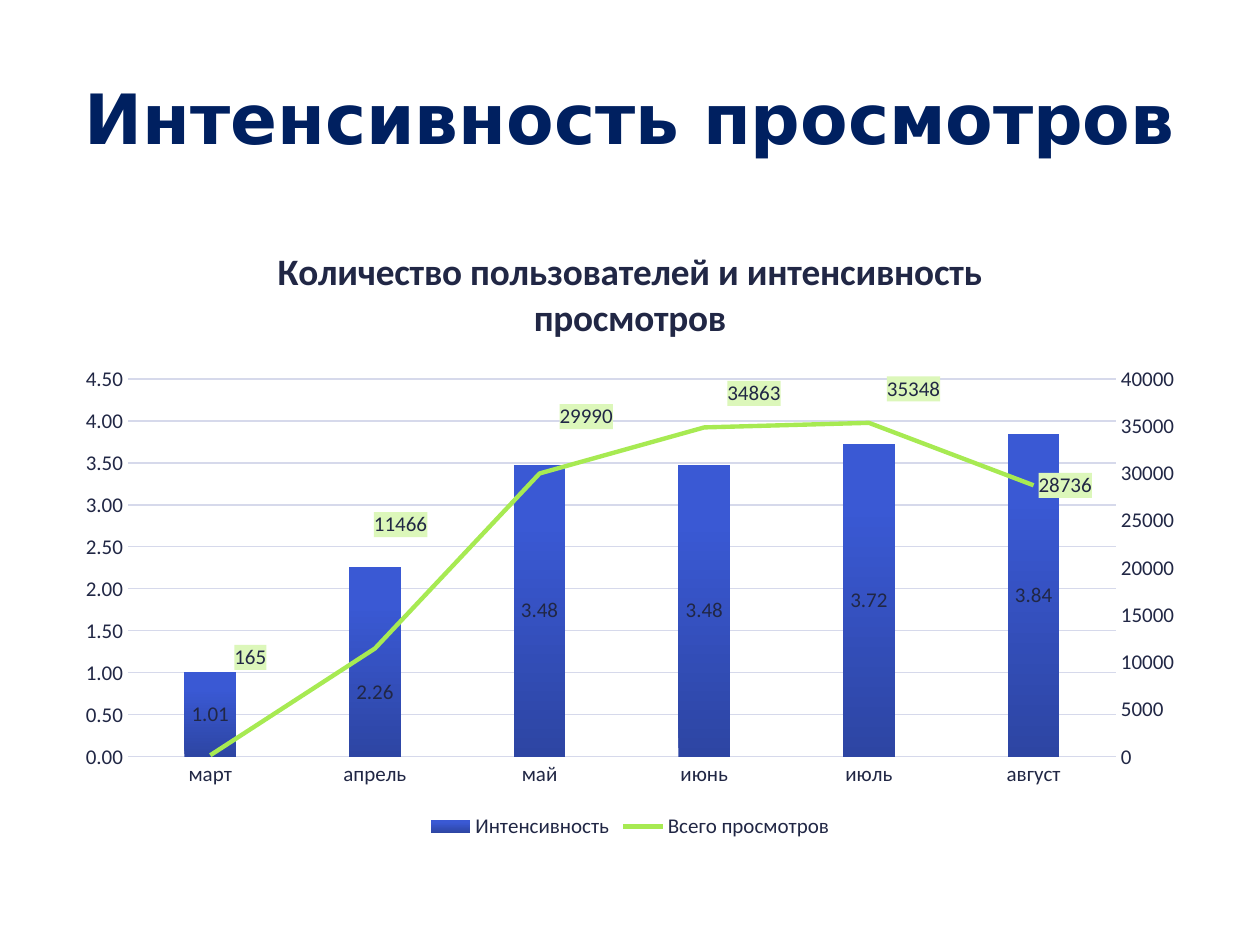
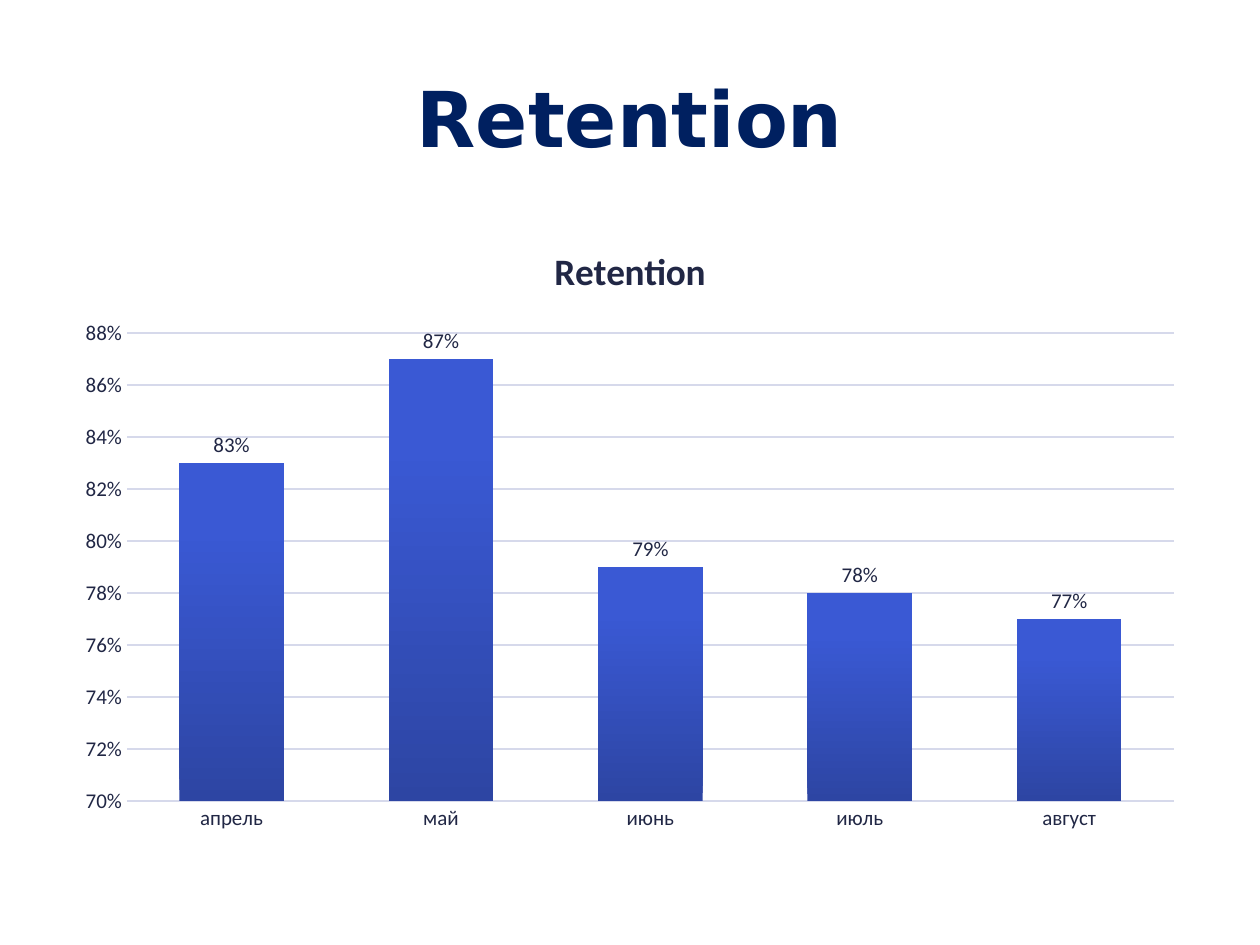
import pptx
import pptx.chart.axis
import pptx.chart.data
import pptx.dml.color
import pptx.enum.chart
import pptx.enum.text
import pptx.oxml
import pptx.oxml.ns
import pptx.util

NAVY, INK, GRID = "002060", "212745", "D6D9EB"
LIME, PALE_LIME = "A7EA52", "DCF7BA"
BAR_GRADIENT = [(0, "2D45A3"), (80, "3A59D4"), (100, "3758D7")]
TITLE_BOX = (63, 38, 1134, 157)
CHART_BOX = (63, 220, 1134, 624)

SLIDES = [
    {
        "title": "Интенсивность просмотров",
        "title_size": 39.6,
        "chart_title": "Количество пользователей и интенсивность просмотров",
        "months": ["март", "апрель", "май", "июнь", "июль", "август"],
        "bars": ("Интенсивность", [1.01, 2.26, 3.48, 3.48, 3.72, 3.84]),
        "format": "0.00",
        "scale": (0, 4.5, 0.5),
        "plot_box": (128, 379, 988, 378),
        "gap": {"gap_width": 219, "overlap": -27},
        "bar_label_position": "CENTER",
        "bar_label_shifts": {1: (0, 30)},
        "line": ("Всего просмотров", [165, 11466, 29990, 34863, 35348, 28736]),
        "line_scale": (0, 40000, 5000),
        "line_label_shifts": {0: (19, -98), 1: (-6, -124), 2: (15, -57),
                              3: (18, -34), 4: (13, -34)},
    },
    {
        "title": "Retention",
        "title_size": 44,
        "chart_title": "Retention",
        "months": ["апрель", "май", "июнь", "июль", "август"],
        "bars": ("Retention", [0.83, 0.87, 0.79, 0.78, 0.77]),
        "format": "0%",
        "scale": (0.7, 0.88, 0.02),
        "plot_box": (127, 333, 1047, 468),
        "gap": {"gap_width": 100, "overlap": -24},
        "bar_label_position": "OUTSIDE_END",
        "bar_label_shifts": {},
    },
]

LINE_PLOT = """
<c:lineChart><c:grouping val="standard"/><c:varyColors val="0"/>
<c:marker val="1"/><c:axId val="501"/><c:axId val="502"/></c:lineChart>
<c:catAx><c:axId val="501"/><c:scaling><c:orientation val="minMax"/></c:scaling>
<c:delete val="1"/><c:axPos val="b"/><c:crossAx val="502"/></c:catAx>
<c:valAx><c:axId val="502"/><c:scaling><c:orientation val="minMax"/></c:scaling>
<c:delete val="0"/><c:axPos val="r"/><c:crossAx val="501"/>
<c:crosses val="max"/></c:valAx>"""


def px(length):
    return pptx.util.Emu(round(length * 914400 / 126))


def color(value):
    return pptx.dml.color.RGBColor.from_string(value)


def apply(target, values):
    for name, value in values.items():
        setattr(target, name, value)


def place(shape, box):
    apply(shape, dict(zip(("left", "top", "width", "height"), map(px, box))))


def style_font(font, size, value, name="Calibri", bold=False):
    apply(font, {"size": pptx.util.Pt(size), "name": name, "bold": bold})
    font.color.rgb = color(value)


def style_line(line, value, width):
    line.color.rgb = color(value)
    line.width = pptx.util.Pt(width)


def make_xml(markup):
    namespaces = pptx.oxml.ns.nsdecls("c", "a")
    return list(pptx.oxml.parse_xml(f"<c:parts {namespaces}>{markup}</c:parts>"))


def make_layout(x, y, extra="", modes=""):
    return make_xml(f'<c:layout><c:manualLayout>{modes}<c:x val="{x:.4f}"/>'
                    f'<c:y val="{y:.4f}"/>{extra}</c:manualLayout></c:layout>')[0]


def label_fill():
    return make_xml(f'<c:spPr><a:solidFill><a:srgbClr val="{PALE_LIME}"/>'
                    '</a:solidFill></c:spPr>')[0]


def style_value_axis(axis, scale, number_format):
    apply(axis, dict(zip(("minimum_scale", "maximum_scale", "major_unit"), scale)))
    apply(axis.tick_labels, {"number_format": number_format,
                             "number_format_is_linked": False})
    axis.format.line.fill.background()


def style_axis(axis):
    none = pptx.enum.chart.XL_TICK_MARK.NONE
    apply(axis, {"major_tick_mark": none, "minor_tick_mark": none})
    style_font(axis.tick_labels.font, 12, INK)


def hide_leader_lines(series_element):
    labels = series_element.xpath("./c:dLbls")[0]
    for item in labels.xpath("./c:showLeaderLines"):
        labels.remove(item)
    labels.append(make_xml('<c:showLeaderLines val="0"/>')[0])


def add_labels(chart, series_index, series, position, number_format, shifts, filled):
    position = getattr(pptx.enum.chart.XL_LABEL_POSITION, position)
    labels = series.data_labels
    apply(labels, {"show_value": True, "number_format": number_format,
                   "number_format_is_linked": False, "position": position})
    style_font(labels.font, 12, INK)
    for point in shifts:
        label = series.points[point].data_label
        style_font(label.font, 12, INK)
        label.position = position
    element = chart.element.xpath(".//c:ser")[series_index]
    for (x, y), index in zip(shifts.values(), element.xpath("./c:dLbls/c:dLbl/c:idx")):
        index.addnext(make_layout(x / CHART_BOX[2], y / CHART_BOX[3]))
    if filled:
        for text in element.xpath("./c:dLbls//c:txPr"):
            text.addprevious(label_fill())
    hide_leader_lines(element)


def fill_bars(chart, series):
    series.format.fill.solid()
    stops = "".join(f'<a:gs pos="{position * 1000}"><a:srgbClr val="{value}"/></a:gs>'
                    for position, value in BAR_GRADIENT)
    gradient = make_xml(f'<a:gradFill rotWithShape="1"><a:gsLst>{stops}</a:gsLst>'
                        '<a:lin ang="16200000" scaled="0"/></a:gradFill>')[0]
    solid = chart.element.xpath(".//c:barChart/c:ser/c:spPr/a:solidFill")[0]
    solid.getparent().replace(solid, gradient)


def move_to_line_plot(chart, content):
    line_plot, category_axis, value_axis = make_xml(LINE_PLOT)
    bar_plot = chart.element.xpath(".//c:barChart")[0]
    views = bar_plot.xpath("./c:ser")[1]
    for item in views.xpath("./c:invertIfNegative"):
        views.remove(item)
    line_plot.insert(2, views)
    bar_plot.addnext(line_plot)
    last_axis = chart.element.xpath(".//c:valAx")[0]
    last_axis.addnext(category_axis)
    category_axis.addnext(value_axis)
    right_axis = pptx.chart.axis.ValueAxis(value_axis)
    style_axis(right_axis)
    style_value_axis(right_axis, content["line_scale"], "General")
    series = chart.plots[1].series[0]
    series.smooth = False
    series.marker.style = pptx.enum.chart.XL_MARKER_STYLE.NONE
    style_line(series.format.line, LIME, 2.5)
    add_labels(chart, 1, series, "RIGHT", "General", content["line_label_shifts"], True)
    chart.has_legend = True
    apply(chart.legend, {"position": pptx.enum.chart.XL_LEGEND_POSITION.BOTTOM,
                         "include_in_layout": False})
    style_font(chart.legend.font, 12, INK)


def set_plot_box(chart, box):
    left, top, width, height = box
    plot_area = chart.element.xpath(".//c:plotArea")[0]
    for item in plot_area.xpath("./c:layout"):
        plot_area.remove(item)
    extra = (f'<c:w val="{width / CHART_BOX[2]:.4f}"/>'
             f'<c:h val="{height / CHART_BOX[3]:.4f}"/>')
    modes = '<c:layoutTarget val="inner"/><c:xMode val="edge"/><c:yMode val="edge"/>'
    plot_area.insert(0, make_layout((left - CHART_BOX[0]) / CHART_BOX[2],
                                    (top - CHART_BOX[1]) / CHART_BOX[3], extra, modes))


def add_title(slide, content):
    title = slide.shapes.title
    place(title, TITLE_BOX)
    frame = title.text_frame
    frame.text = content["title"]
    apply(frame, {"auto_size": pptx.enum.text.MSO_AUTO_SIZE.NONE, "word_wrap": True,
                  "vertical_anchor": pptx.enum.text.MSO_ANCHOR.MIDDLE})
    paragraph = frame.paragraphs[0]
    paragraph.alignment = pptx.enum.text.PP_ALIGN.CENTER
    style_font(paragraph.runs[0].font, content["title_size"], NAVY, "DejaVu Sans", True)


def add_chart(slide, content):
    data = pptx.chart.data.CategoryChartData()
    data.categories = content["months"]
    data.add_series(*content["bars"], number_format=content["format"])
    if "line" in content:
        data.add_series(*content["line"])
    chart = slide.shapes.add_chart(pptx.enum.chart.XL_CHART_TYPE.COLUMN_CLUSTERED,
                                   *map(px, CHART_BOX), data).chart
    style_font(chart.font, 12, INK)
    chart.has_legend = False
    chart.has_title = True
    heading = chart.chart_title.text_frame
    heading.text = content["chart_title"]
    style_font(heading.paragraphs[0].runs[0].font, 21.3, INK, bold=True)

    style_axis(chart.category_axis)
    style_line(chart.category_axis.format.line, GRID, 0.75)
    style_axis(chart.value_axis)
    style_value_axis(chart.value_axis, content["scale"], content["format"])
    chart.value_axis.has_major_gridlines = True
    style_line(chart.value_axis.major_gridlines.format.line, GRID, 0.75)

    plot = chart.plots[0]
    apply(plot, {"vary_by_categories": False, **content["gap"]})
    fill_bars(chart, plot.series[0])
    add_labels(chart, 0, plot.series[0], content["bar_label_position"],
               content["format"], content["bar_label_shifts"], False)
    if "line" in content:
        move_to_line_plot(chart, content)
    set_plot_box(chart, content["plot_box"])


def main():
    presentation = pptx.Presentation()
    apply(presentation, {"slide_width": px(1260), "slide_height": px(945)})
    for content in SLIDES:
        slide = presentation.slides.add_slide(presentation.slide_layouts[5])
        add_title(slide, content)
        add_chart(slide, content)
    presentation.save("out.pptx")


if __name__ == "__main__":
    main()
